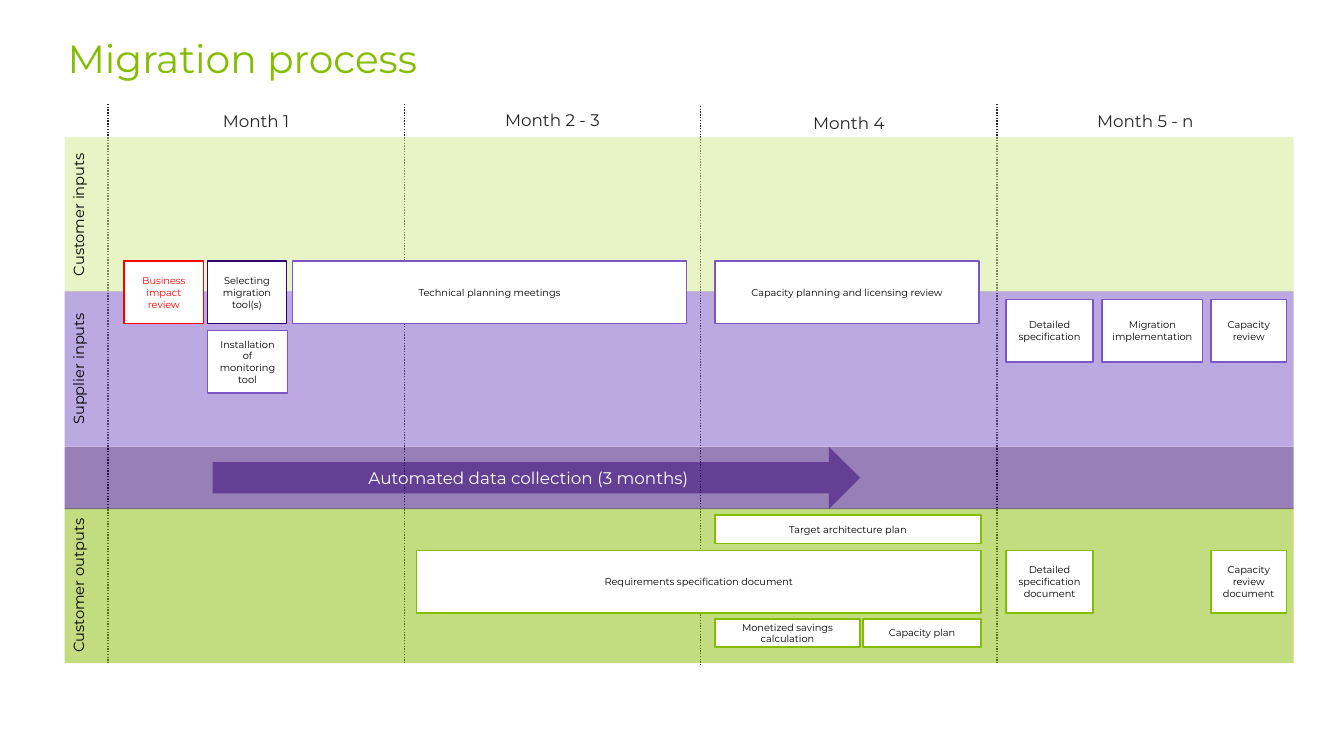
from lxml import etree
from pptx import Presentation
from pptx.dml.color import RGBColor
from pptx.enum.dml import MSO_LINE
from pptx.enum.shapes import MSO_CONNECTOR, MSO_SHAPE
from pptx.enum.text import MSO_ANCHOR, PP_ALIGN
from pptx.oxml.ns import qn
from pptx.util import Inches, Pt

RECT, RIGHT_ARROW = MSO_SHAPE.RECTANGLE, MSO_SHAPE.RIGHT_ARROW
STRAIGHT = MSO_CONNECTOR.STRAIGHT
SYS_DOT = MSO_LINE.ROUND_DOT
LEFT, CENTER = PP_ALIGN.LEFT, PP_ALIGN.CENTER
TOP, MIDDLE = MSO_ANCHOR.TOP, MSO_ANCHOR.MIDDLE

FONT = "Montserrat"
COLORS = {
    "green": "84BD00", "pale green": "D4EB8E", "purple": "7D55C7",
    "dark purple": "330072", "red": "FF0000", "black": "000000",
    "grey": "262626", "white": "FFFFFF",
}

TITLE = "Migration process"
# label, label top, top of the dotted line at the column's left edge
MONTHS = [
    ("Month 1", 1.05, 1.03),
    ("Month 2 - 3", 1.04, 1.03),
    ("Month 4", 1.07, 1.05),
    ("Month 5 - n", 1.05, 1.03),
]
# label, top, height, color
BANDS = [
    ("Customer inputs", 1.36, 1.54, "pale green"),
    ("Supplier inputs", 2.89, 1.54, "purple"),
    ("Customer outputs", 5.04, 1.54, "green"),
    ("", 4.43, 0.62, "dark purple"),
]
COLLECTION = "Automated data collection (3 months)"
# top, height, default outline, [(text, left, width, optional outline)]
TASK_ROWS = [
    (2.59, 0.62, "purple", [
        ("Business impact review", 1.23, 0.79, "red"),
        ("Selecting migration tool(s)", 2.06, 0.78, "dark purple"),
        ("Technical planning meetings", 2.9, 3.91),
        ("Capacity planning and licensing review", 7.09, 2.62),
    ]),
    (3.28, 0.62, "purple", [("Installation of monitoring tool", 2.06, 0.79)]),
    (2.97, 0.62, "purple", [
        ("Detailed specification", 9.98, 0.86),
        ("Migration implementation", 10.93, 1),
        ("Capacity review", 12.01, 0.75),
    ]),
    (5.11, 0.28, "green", [("Target architecture plan", 7.09, 2.64)]),
    (5.46, 0.62, "green", [
        ("Requirements specification document", 4.13, 5.6),
        ("Detailed specification document", 9.98, 0.86),
        ("Capacity review document", 12.01, 0.75),
    ]),
    (6.14, 0.28, "green", [
        ("Monetized savings calculation", 7.09, 1.44),
        ("Capacity plan", 8.56, 1.17),
    ]),
]

BAND_LEFT, BAND_WIDTH, LABEL_WIDTH = 0.64, 12.19, 0.38
MONTH_LEFT, MONTH_WIDTH, LINE_LENGTH = 1.07, 2.94, 5.55


def rgb(name):
    return RGBColor.from_string(COLORS[name])


def write(shape, text, size, color, align=CENTER, anchor=MIDDLE):
    tf = shape.text_frame
    tf.word_wrap = True
    tf.vertical_anchor = anchor
    p = tf.paragraphs[0]
    p.alignment = align
    r = p.add_run()
    r.text = text
    r.font.name, r.font.size = FONT, Pt(size)
    r.font.color.rgb = rgb(color)
    return tf


def add_label(slide, box, text, size, color):
    sp = slide.shapes.add_textbox(*map(Inches, box))
    return write(sp, text, size, color, anchor=TOP)


def add_block(slide, kind, box, fill, outline=None, opacity=100):
    sp = slide.shapes.add_shape(kind, *map(Inches, box))
    sp.shadow.inherit = False
    sp.fill.solid()
    sp.fill.fore_color.rgb = rgb(fill)
    if opacity < 100:
        color = sp.fill._xPr.find(".//" + qn("a:srgbClr"))
        etree.SubElement(color, qn("a:alpha"), val=str(opacity * 1000))
    if outline:
        sp.line.color.rgb = rgb(outline)
        sp.line.width = Pt(1)
    else:
        sp.line.fill.background()
    return sp


def add_month_line(slide, x, top):
    line = slide.shapes.add_connector(
        STRAIGHT, *map(Inches, (x, top, x, top + LINE_LENGTH)))
    line.line.color.rgb = rgb("grey")
    line.line.width = Pt(1)
    line.line.dash_style = SYS_DOT
    etree.SubElement(line._element.spPr, qn("a:effectLst"))


def main():
    prs = Presentation()
    prs.slide_width, prs.slide_height = Inches(13.33), Inches(7.5)
    slide = prs.slides.add_slide(prs.slide_layouts[5])

    title = slide.shapes.title
    title.left, title.top, title.width, title.height = map(
        Inches, (0.57, 0.35, 12.19, 0.51))
    tf = write(title, TITLE, 28, "green", LEFT)
    tf.paragraphs[0].line_spacing = 0.9

    for i, (month, label_top, line_top) in enumerate(MONTHS):
        x = MONTH_LEFT + i * MONTH_WIDTH
        add_month_line(slide, x, line_top)
        add_label(slide, (x, label_top, MONTH_WIDTH, 0.3), month, 12, "grey")

    for label, top, height, color in BANDS:
        add_block(slide, RECT, (BAND_LEFT, top, BAND_WIDTH, height), color,
                  opacity=50)
        if label:
            tf = add_label(slide, (BAND_LEFT, top, LABEL_WIDTH, height),
                           label, 10.5, "black")
            tf._txBody.bodyPr.set("vert", "vert270")

    arrow = add_block(slide, RIGHT_ARROW, (2.11, 4.43, 6.42, 0.62),
                      "dark purple", opacity=50)
    write(arrow, COLLECTION, 12, "white")

    for top, height, row_outline, tasks in TASK_ROWS:
        for text, left, width, *special in tasks:
            outline = special[0] if special else row_outline
            sp = add_block(slide, RECT, (left, top, width, height), "white",
                           outline)
            write(sp, text, 7, "red" if outline == "red" else "black")

    prs.save("out.pptx")


if __name__ == "__main__":
    main()
